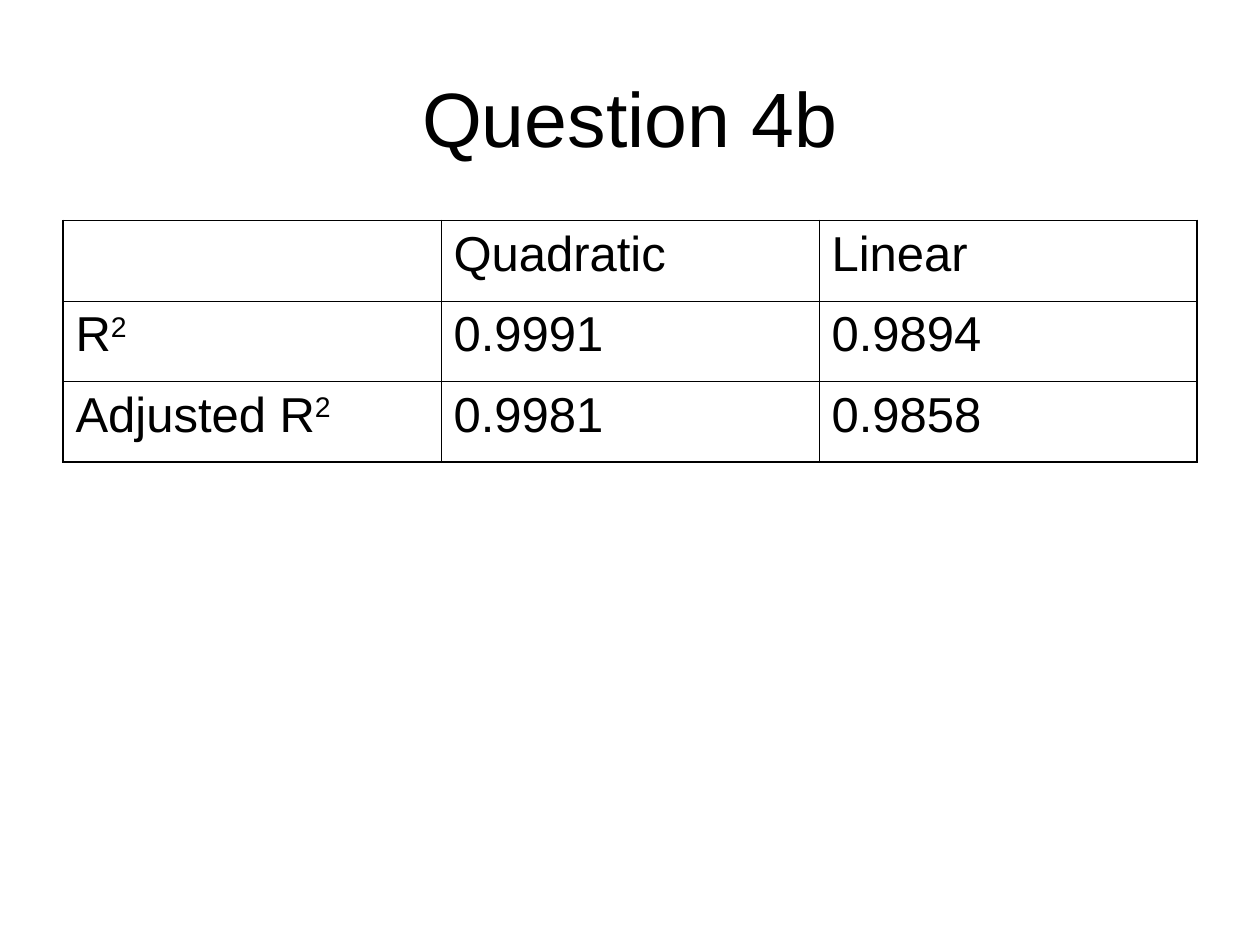
from dataclasses import dataclass

from lxml import etree
from pptx import Presentation
from pptx.dml.color import RGBColor
from pptx.enum.text import MSO_ANCHOR, PP_ALIGN
from pptx.oxml.ns import qn
from pptx.util import Inches, Pt

CENTER = PP_ALIGN.CENTER
MIDDLE = MSO_ANCHOR.MIDDLE


@dataclass(frozen=True)
class Theme:
    font: str = "Arial"
    ink: str = "000000"
    paper: str = "FFFFFF"
    title_size: float = 44
    cell_size: float = 28
    outer_line: float = 1.08
    inner_line: float = 0.45


THEME = Theme()

# Each cell is (text, superscript)
ROWS = [
    [("", ""), ("Quadratic", ""), ("Linear", "")],
    [("R", "2"), ("0.9991", ""), ("0.9894", "")],
    [("Adjusted R", "2"), ("0.9981", ""), ("0.9858", "")],
]


def set_attributes(target, formats):
    for name, value in formats.items():
        setattr(target, name, value)


def add_run(p, text, size, superscript=False):
    r = p.add_run()
    r.text = text
    set_attributes(r.font, {"name": THEME.font, "size": Pt(size)})
    r.font.color.rgb = RGBColor.from_string(THEME.ink)
    if superscript:
        r.font._element.set("baseline", "30000")


def add_title(s, text):
    sp = s.shapes.add_textbox(Inches(0.5), Inches(0.3), Inches(9), Inches(1.25))
    tf = sp.text_frame
    set_attributes(tf, {"word_wrap": True, "vertical_anchor": MIDDLE})
    p = tf.paragraphs[0]
    p.alignment = CENTER
    add_run(p, text, THEME.title_size)


def set_borders(cell, outer_sides):
    """Draw all four borders, heavier on the table's outer sides."""
    tc_pr = cell._tc.get_or_add_tcPr()
    for i, (side, outer) in enumerate(outer_sides.items()):
        width = THEME.outer_line if outer else THEME.inner_line
        ln = etree.Element(qn(f"a:ln{side}"), w=str(Pt(width)))
        fill = etree.SubElement(ln, qn("a:solidFill"))
        etree.SubElement(fill, qn("a:srgbClr"), val=THEME.ink)
        tc_pr.insert(i, ln)


def add_grid(s, rows):
    n_rows, n_cols = len(rows), len(rows[0])
    table = s.shapes.add_table(n_rows, n_cols, Inches(0.5), Inches(1.75),
                               Inches(9), Inches(0.64 * n_rows)).table
    set_attributes(table, {"first_row": False, "horz_banding": False})
    margins = {"margin_left": Inches(0.1), "margin_right": Inches(0.1),
               "margin_top": Inches(0.05), "margin_bottom": Inches(0.05)}
    for i, row in enumerate(rows):
        for j, (text, superscript) in enumerate(row):
            cell = table.cell(i, j)
            set_attributes(cell, margins)
            cell.fill.background()
            set_borders(cell, {"L": j == 0, "R": j == n_cols - 1,
                               "T": i == 0, "B": i == n_rows - 1})
            p = cell.text_frame.paragraphs[0]
            p.space_before = Pt(7)
            if text:
                add_run(p, text, THEME.cell_size)
            if superscript:
                add_run(p, superscript, THEME.cell_size, superscript=True)


def main():
    prs = Presentation()
    set_attributes(prs, {"slide_width": Inches(10), "slide_height": Inches(7.5)})
    s = prs.slides.add_slide(prs.slide_layouts[6])

    # Background
    fill = s.background.fill
    fill.solid()
    fill.fore_color.rgb = RGBColor.from_string(THEME.paper)

    # Title and comparison of the two fits
    add_title(s, "Question 4b")
    add_grid(s, ROWS)

    prs.save("out.pptx")


if __name__ == "__main__":
    main()
